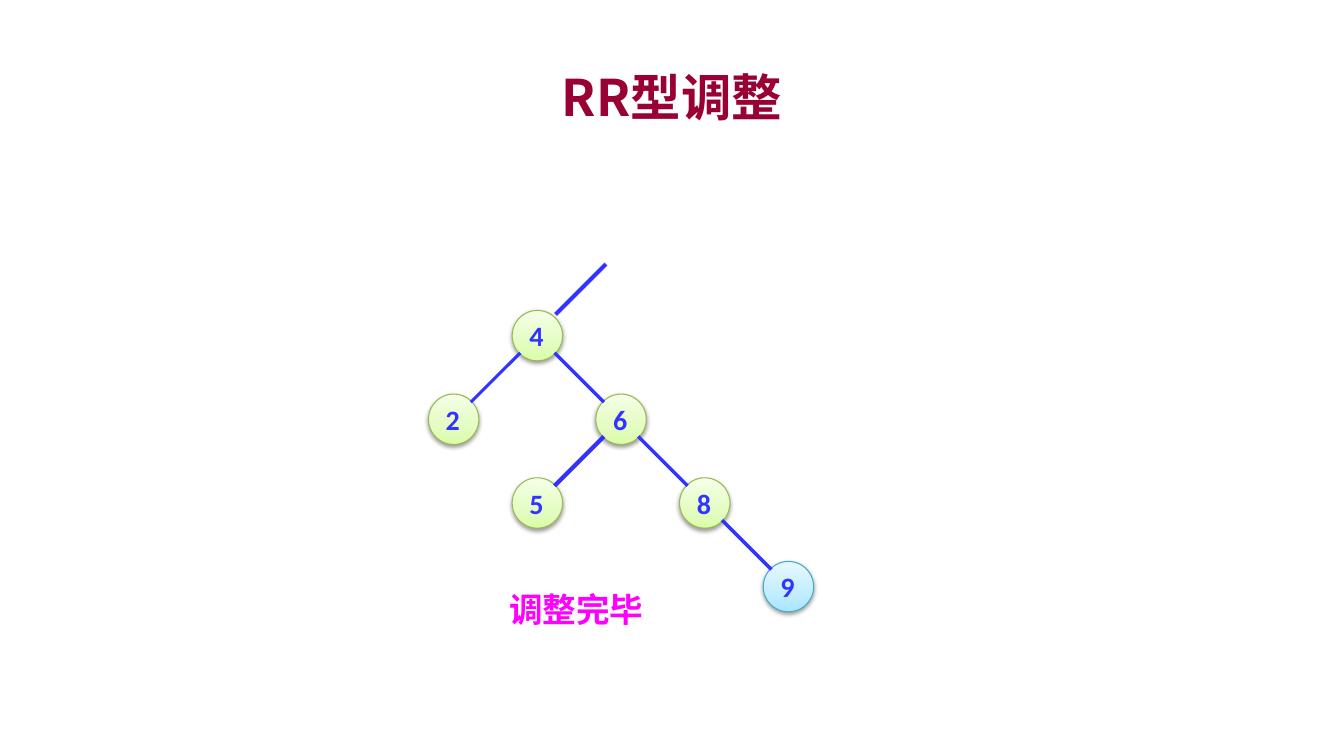
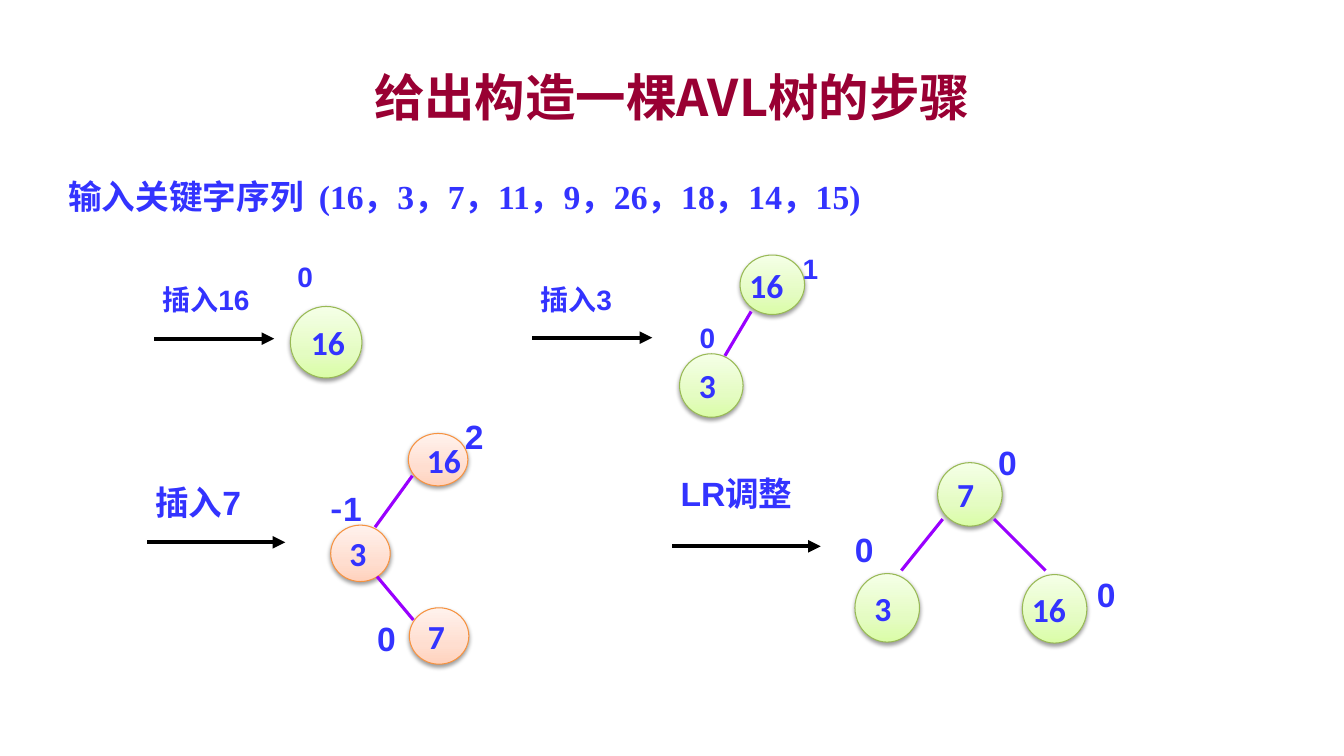
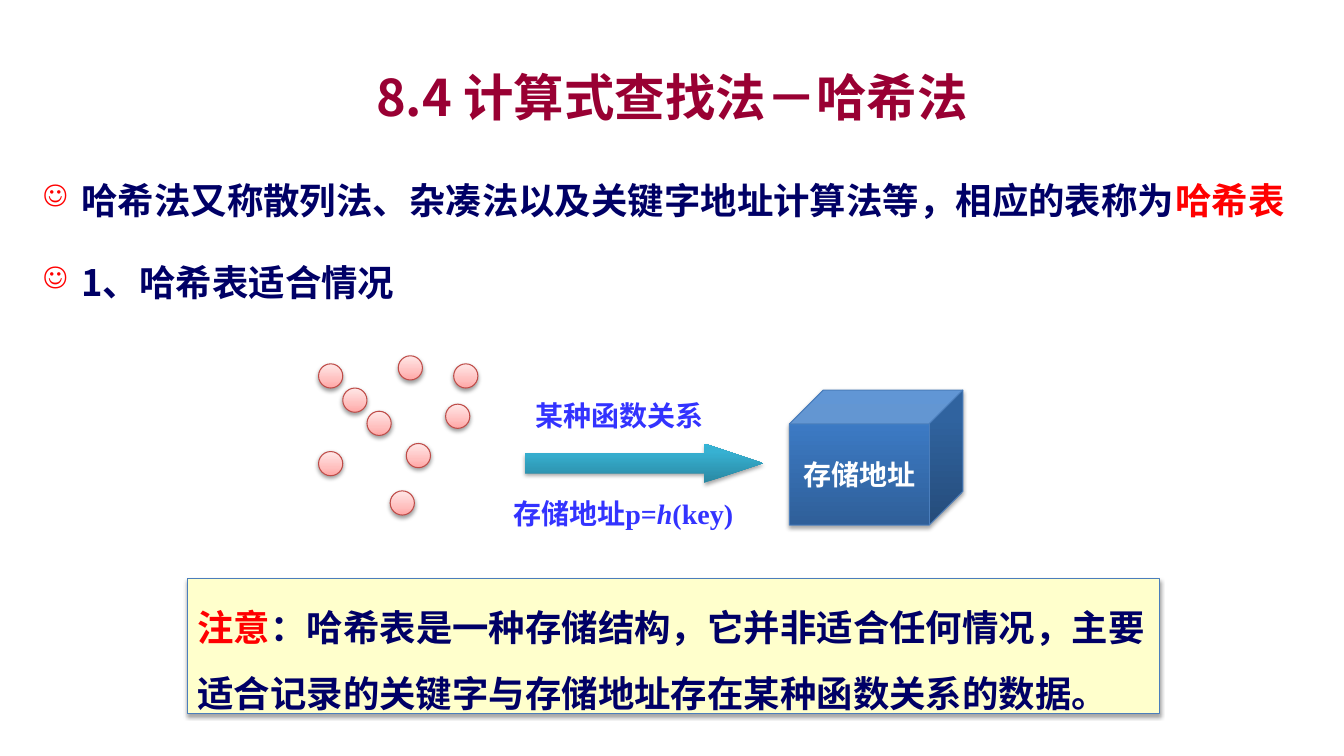
from lxml import etree
from pptx import Presentation
from pptx.dml.color import RGBColor
from pptx.enum import shapes, text
from pptx.oxml.ns import qn
from pptx.util import Inches, Pt

COLORS = {
    "title": "990033", "blue": "3333FF", "navy": "000066", "red": "FF0000",
    "magenta": "FF00FF", "violet": "9900FF", "black": "000000",
    "white": "FFFFFF", "note": "FFFFCC", "frame": "4B7EBC",
}
GRADIENTS = {
    "green": ([(0, "DAFDA7"), (35, "E4FCC2"), (100, "F5FFE7")], "98B955"),
    "cyan": ([(0, "A7E6FF"), (35, "C1EDFF"), (100, "E7F8FF")], "46AAC5"),
    "orange": ([(0, "FFD2BD"), (35, "FFDED0"), (100, "FFF2ED")], "F69240"),
    "pink": ([(0, "FFA6A5"), (35, "FFC0BF"), (100, "FFE7E7")], "BF4C48"),
    "teal": ([(0, "2A88A2"), (80, "37B1D2"), (100, "34B4D6")], None),
    "steel": ([(0, "2F5F99"), (80, "3D7CC7"), (100, "3A7CCB")], "4B7EBC"),
}
CJK, SANS, SERIF, ROUND = "Noto Sans CJK SC", "Arial", "Times New Roman", "Calibri"


def rgb(name):
    """Return the colour for a palette name or a hex string."""
    return RGBColor.from_string(COLORS.get(name, name))


def child(parent, tag, **attrs):
    """Append a drawing element with the given attributes."""
    return etree.SubElement(parent, qn(tag), {k: str(v) for k, v in attrs.items()})


def add_run(p, words, size, color, font, italic=False):
    """Add one bold run to a paragraph."""
    r = p.add_run()
    r.text = words
    r.font.size, r.font.bold = Pt(size), True
    if italic:
        r.font.italic = True
    r.font.color.rgb = rgb(color)
    r.font.name = font
    child(r.font._element, "a:ea", typeface=CJK)


def text_box(slide, box, runs, margins=(0.1, 0.05), align=None, anchor="TOP"):
    """Place a wrapped text box holding one paragraph and return its frame."""
    tf = slide.shapes.add_textbox(*map(Inches, box)).text_frame
    tf.word_wrap = True
    tf.vertical_anchor = text.MSO_ANCHOR[anchor]
    tf.margin_left = tf.margin_right = Inches(margins[0])
    tf.margin_top = tf.margin_bottom = Inches(margins[1])
    p = tf.paragraphs[0]
    p.alignment = align
    for run in runs:
        add_run(p, *run)
    return tf


def add_shape(slide, kind, box, fill, line, alpha=35, dist=1.8):
    """Place a preset shape with a solid or gradient fill and a soft shadow."""
    sp = slide.shapes.add_shape(kind, *map(Inches, box))
    if fill in GRADIENTS:
        stops, line = GRADIENTS[fill]
        sp.fill.gradient()
        sp.fill.gradient_angle = 90
        stop_list = sp._element.spPr.find(".//" + qn("a:gsLst"))
        for old in list(stop_list):
            stop_list.remove(old)
        for pos, color in stops:
            child(child(stop_list, "a:gs", pos=pos * 1000), "a:srgbClr", val=color)
    else:
        sp.fill.solid()
        sp.fill.fore_color.rgb = rgb(fill)
    if line:
        sp.line.color.rgb = rgb(line)
        sp.line.width = Pt(0.75)
    else:
        sp.line.fill.background()
    sp.shadow.inherit = False
    effects = sp._element.spPr.find(qn("a:effectLst"))
    shadow = child(effects, "a:outerShdw", blurRad=Pt(3.1), dist=Pt(dist),
                   dir=5400000, rotWithShape=0)
    child(child(shadow, "a:srgbClr", val=COLORS["black"]), "a:alpha", val=alpha * 1000)
    return sp


def add_node(slide, box, fill, key="", size=24, inset=0.1):
    """Place a round node with its key."""
    sp = add_shape(slide, shapes.MSO_SHAPE.OVAL, box, fill, None, 38, 1.6)
    if key:
        tf = sp.text_frame
        tf.word_wrap = False
        tf.margin_left = tf.margin_right = Inches(inset)
        p = tf.paragraphs[0]
        p.alignment = text.PP_ALIGN.LEFT
        add_run(p, key, size, "blue", ROUND)


def add_line(slide, start, end, color, width, arrow=False):
    """Draw a straight line, with an arrowhead at its end if asked."""
    cx = slide.shapes.add_connector(
        shapes.MSO_CONNECTOR.STRAIGHT, *map(Inches, (*start, *end)))
    cx.line.color.rgb = rgb(color)
    cx.line.width = Pt(width)
    if arrow:
        child(cx.line._ln, "a:tailEnd", type="triangle")
    child(cx._element.spPr, "a:effectLst")


def new_slide(prs, title):
    """Add a blank slide with the shared title."""
    slide = prs.slides.add_slide(prs.slide_layouts[6])
    text_box(slide, (1, 0.58, 11.33, 0.75), [(title, 36, "title", CJK)],
             align=text.PP_ALIGN.CENTER, anchor="MIDDLE")
    return slide


def balanced_tree(slide, x, y, pitch=0.83, size=0.5):
    """Draw the adjusted tree on a square grid whose root node starts at x, y."""
    cells = {"4": (0, 0), "2": (-1, 1), "6": (1, 1), "5": (0, 2), "8": (2, 2), "9": (3, 3)}
    edges = [("4", "2", 2.25), ("4", "6", 2.5), ("6", "5", 3), ("6", "8", 2.5), ("8", "9", 2.5)]
    for key, (col, row) in cells.items():
        add_node(slide, (x + col * pitch, y + row * pitch, size, size),
                 "cyan" if key == "9" else "green", key, 20)
    reach = 0.17
    for parent, kid, width in edges:
        (c1, r1), (c2, r2) = cells[parent], cells[kid]
        side = reach * (c2 - c1)
        half = size / 2
        add_line(slide, (x + c1 * pitch + half + side, y + r1 * pitch + half + reach),
                 (x + c2 * pitch + half - side, y + r2 * pitch + half - reach), "blue", width)
    add_line(slide, (x + 0.93, y - 0.46), (x + 0.43, y + 0.04), "blue", 3)


def insert_step(slide, x, y, caption, size, arrow, caption_y, fill, nodes, balances, edges=()):
    """Draw one insertion step: caption, arrow, tree and balance factors."""
    arrow_y, length = arrow
    height = size / 60
    add_line(slide, (x, y + arrow_y), (x + length, y + arrow_y), "black", 3, True)
    text_box(slide, (x + 0.08, y + caption_y, 1.27, height),
             [(caption, size, "blue", SANS)], (0, 0))
    for key, dx, dy, w, h, inset in nodes:
        add_node(slide, (x + dx, y + dy, w, h), fill, key, inset=inset)
    for factor, dx, dy in balances:
        runs = [(c, size, "blue", CJK if c == "-" else SANS) for c in factor]
        text_box(slide, (x + dx, y + dy, 0.36, height), runs, (0, 0))
    for x1, y1, x2, y2 in edges:
        add_line(slide, (x + x1, y + y1), (x + x2, y + y2), "violet", 2.25)


def bullets(slide, box, items):
    """Place the smiley bullet list."""
    tf = text_box(slide, box, [])
    for i, runs in enumerate(items):
        p = tf.add_paragraph() if i else tf.paragraphs[0]
        p.line_spacing = 1.5
        p.space_before = p.space_after = Pt(6)
        for words, color in runs:
            add_run(p, words, 26, color, CJK)
        pPr = p._p.get_or_add_pPr()
        pPr.set("marL", str(Inches(0.38)))
        pPr.set("indent", str(-Inches(0.38)))
        child(child(pPr, "a:buClr"), "a:srgbClr", val=COLORS["red"])
        child(pPr, "a:buSzPct", val=80000)
        child(pPr, "a:buChar", char="☺")


def hash_diagram(slide, x, y):
    """Draw the keys, the mapping arrow and the storage cube."""
    dots = [(0, 0.08), (0.24, 0.32), (0.48, 0.55), (0.79, 0), (0, 0.95),
            (0.87, 0.87), (1.26, 0.48), (0.71, 1.34), (1.34, 0.08)]
    for dx, dy in dots:
        add_node(slide, (x + dx, y + dy, 0.24, 0.24), "pink")
    arrow = add_shape(slide, shapes.MSO_SHAPE.RIGHT_ARROW,
                      (x + 2.05, y + 0.87, 2.36, 0.39), "teal", None)
    arrow.adjustments[1] = 1.5
    text_box(slide, (x + 2.05, y + 0.37, 2.2, 0.43), [("某种函数关系", 20, "blue", SERIF)])
    cube = add_shape(slide, shapes.MSO_SHAPE.CUBE, (x + 4.67, y + 0.34, 1.72, 1.34), "steel", None)
    add_run(cube.text_frame.paragraphs[0], "存储地址", 20, "white", CJK)
    text_box(slide, (x + 1.83, y + 1.35, 2.4, 0.44),
             [("存储地址p=", 20, "blue", SERIF), ("h", 20, "blue", SERIF, True),
              ("(key)", 20, "blue", SERIF)])


def note(slide, box, runs):
    """Place the framed note."""
    sp = add_shape(slide, shapes.MSO_SHAPE.RECTANGLE, box, "note", "frame")
    tf = sp.text_frame
    tf.word_wrap = True
    tf.vertical_anchor = text.MSO_ANCHOR.TOP
    p = tf.paragraphs[0]
    p.alignment = text.PP_ALIGN.LEFT
    p.line_spacing = 1.5
    p.space_after = Pt(6)
    for words, color in runs:
        add_run(p, words, 26, color, CJK)


def rotation_slide(prs):
    """Build the slide with the finished RR rotation."""
    slide = new_slide(prs, "RR型调整")
    text_box(slide, (4.95, 5.79, 1.89, 0.5), [("调整完毕", 24, "magenta", CJK)])
    balanced_tree(slide, 5.08, 3.08)


def steps_slide(prs):
    """Build the slide with the AVL insertion steps."""
    slide = new_slide(prs, "给出构造一棵AVL树的步骤")
    tf = text_box(slide, (0.58, 1.5, 12.42, 0.63),
                  [("输入关键字序列  (16，3，7，11，9，26，18，14，15)", 24, "blue", SERIF)])
    tf.paragraphs[0].line_spacing = 1.5
    insert_step(slide, 1.53, 2.5, "插入16", 20, (0.86, 1.19), 0.3, "green",
                [("16", 1.35, 0.54, 0.71, 0.71, 0.1)], [("0", 1.42, 0.07)])
    insert_step(slide, 5.28, 2.5, "插入3", 20, (0.85, 1.19), 0.3, "green",
                [("16", 2.06, 0.03, 0.64, 0.59, 0), ("3", 1.46, 1.01, 0.63, 0.63, 0.1)],
                [("0", 1.66, 0.68), ("1", 2.68, -0.01)], [(2.17, 0.59, 1.91, 1.03)])
    insert_step(slide, 1.46, 4.5, "插入7", 24, (0.88, 1.37), 0.28, "orange",
                [("16", 2.59, -0.2, 0.59, 0.52, 0.1), ("3", 1.82, 0.71, 0.59, 0.56, 0.1),
                 ("7", 2.6, 1.53, 0.59, 0.56, 0.1)],
                [("-1", 1.82, 0.34), ("2", 3.15, -0.37), ("0", 2.28, 1.63)],
                [(2.63, 0.22, 2.26, 0.73), (2.28, 1.22, 2.64, 1.65)])
    insert_step(slide, 6.67, 4.5, "LR调整", 24, (0.92, 1.47), 0.19, "green",
                [("7", 2.63, 0.09, 0.64, 0.63, 0.1), ("3", 1.81, 1.19, 0.64, 0.68, 0.1),
                 ("16", 3.47, 1.2, 0.64, 0.68, 0)],
                [("0", 1.81, 0.75), ("0", 3.23, -0.12), ("0", 4.21, 1.19)],
                [(2.68, 0.65, 2.27, 1.16), (3.19, 0.65, 3.7, 1.16)])


def hash_slide(prs):
    """Build the slide that introduces hashing."""
    slide = new_slide(prs, "8.4 计算式查找法－哈希法")
    bullets(slide, (0.33, 1.5, 12.67, 1.53), [
        [("哈希法又称散列法、杂凑法以及关键字地址计算法等，相应的表称为", "navy"), ("哈希表", "red")],
        [("1、哈希表适合情况", "navy")],
    ])
    hash_diagram(slide, 3.16, 3.53)
    note(slide, (1.86, 5.74, 9.64, 1.34), [
        ("注意", "red"),
        ("：哈希表是一种存储结构，它并非适合任何情况，"
         "主要适合记录的关键字与存储地址存在某种函数关系的数据。", "navy"),
    ])


def main():
    """Build and save the presentation."""
    prs = Presentation()
    prs.slide_width, prs.slide_height = Inches(13.33), Inches(7.5)
    rotation_slide(prs)
    steps_slide(prs)
    hash_slide(prs)
    prs.save("out.pptx")


if __name__ == "__main__":
    main()
